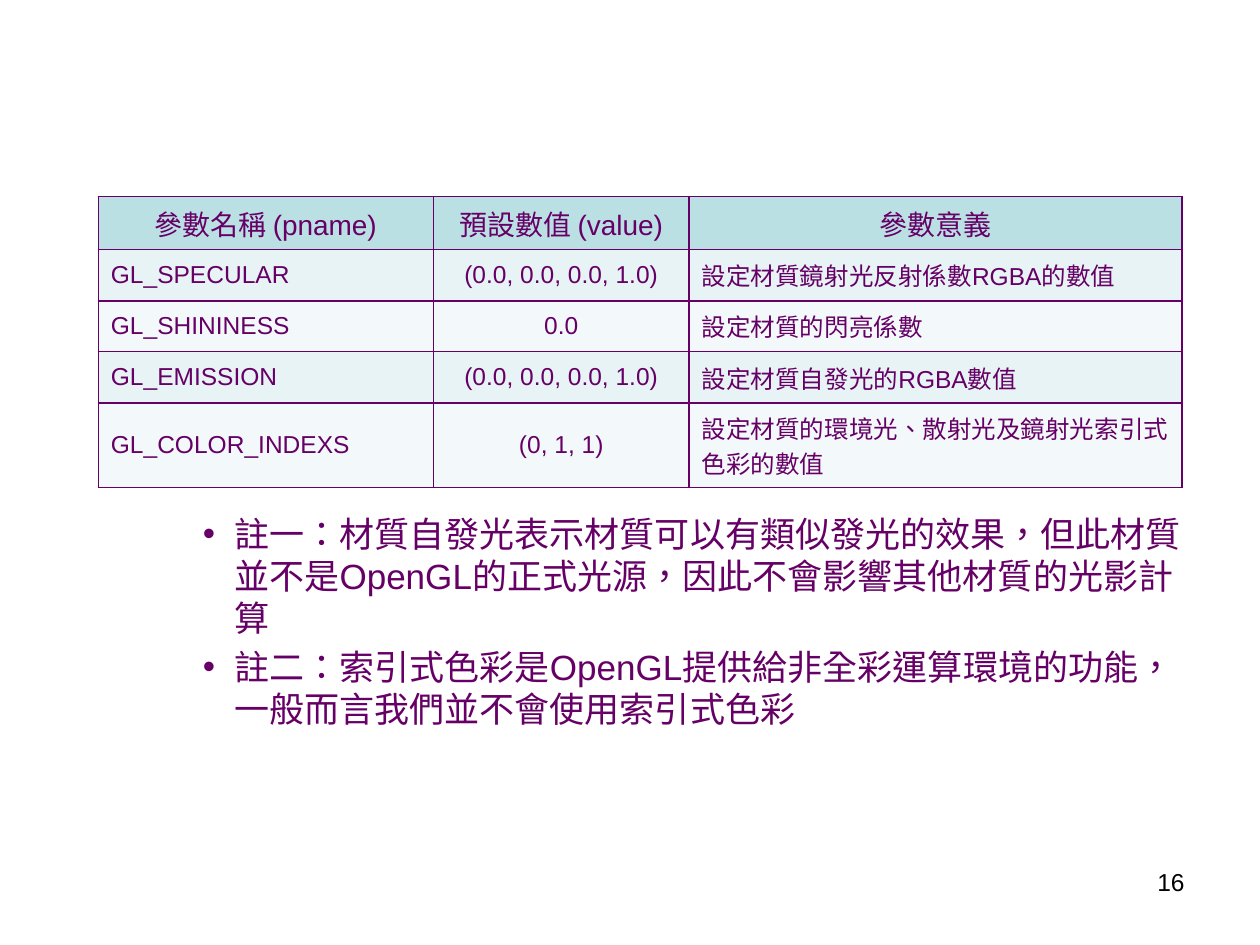
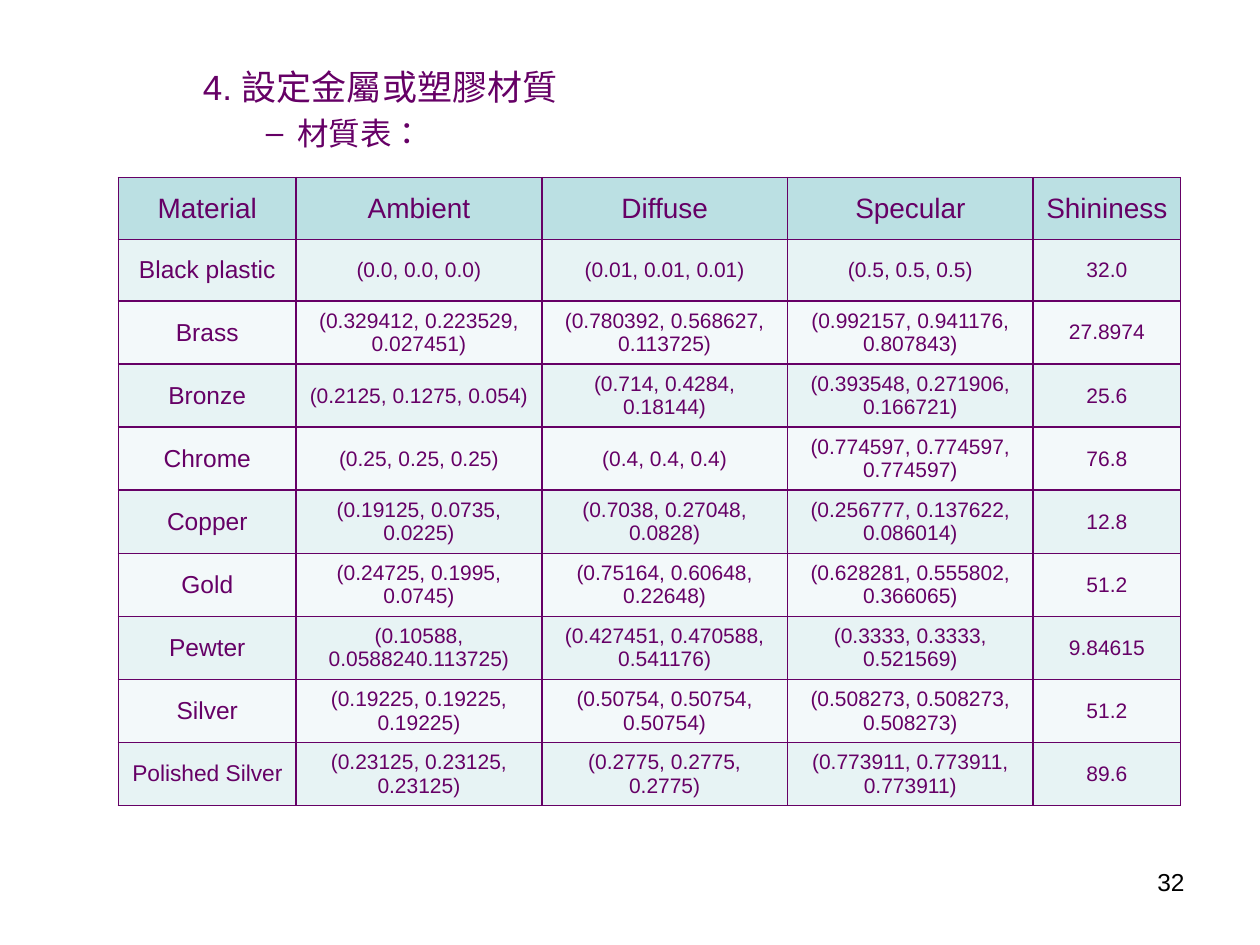
"""Builds two slides on material parameters and material values."""
from lxml import etree
from pptx import Presentation
from pptx.dml.color import RGBColor
from pptx.enum.lang import MSO_LANGUAGE_ID
from pptx.enum.text import MSO_ANCHOR, MSO_AUTO_SIZE, PP_ALIGN
from pptx.oxml.ns import qn
from pptx.util import Inches, Pt

LEFT, CENTER, RIGHT = PP_ALIGN.LEFT, PP_ALIGN.CENTER, PP_ALIGN.RIGHT
MIDDLE, TOP = MSO_ANCHOR.MIDDLE, MSO_ANCHOR.TOP
NO_AUTOFIT = MSO_AUTO_SIZE.NONE
CHINESE = MSO_LANGUAGE_ID.TRADITIONAL_CHINESE
TITLE_AND_CONTENT = 1

FONT = "Arial"
COLORS = {
    "text": "660066",
    "number": "000000",
    "header": "BBE0E3",
    "odd_row": "E7F3F4",
    "even_row": "F3F9FA",
}
HEADER_SIZE = 16
BODY_STYLES = {2: (20, 1.25), 3: (18, 1.75)}
HANGING = 0.25

SLIDES = [
    {
        "number": "16",
        "body_box": (0.51, 4.02, 9, 2.71),
        "body": [
            (2, "•", "註一：材質自發光表示材質可以有類似發光的效果，但此材質並不是OpenGL的正式光源，因此不會影響其他材質的光影計算"),
            (2, "•", "註二：索引式色彩是OpenGL提供給非全彩運算環境的功能，一般而言我們並不會使用索引式色彩"),
        ],
        "table_place": (0.78, 1.56),
        "row_heights": (0.42, 0.41, 0.4, 0.41, 0.67),
        "column_widths": (2.66, 2.03, 3.91),
        "alignments": (LEFT, CENTER, LEFT),
        "sizes": (14, 14, 14),
        "rows": [
            ("參數名稱 (pname)", "預設數值 (value)", "參數意義"),
            ("GL_SPECULAR", "(0.0, 0.0, 0.0, 1.0)", "設定材質鏡射光反射係數RGBA的數值"),
            ("GL_SHININESS", "0.0", "設定材質的閃亮係數"),
            ("GL_EMISSION", "(0.0, 0.0, 0.0, 1.0)", "設定材質自發光的RGBA數值"),
            ("GL_COLOR_INDEXS", "(0, 1, 1)", "設定材質的環境光、散射光及鏡射光索引式色彩的數值"),
        ],
    },
    {
        "number": "32",
        "body_box": (0.51, 0.47, 9, 6.26),
        "body": [(2, None, "4. 設定金屬或塑膠材質"), (3, "–", "材質表：")],
        "table_place": (0.94, 1.41),
        "row_heights": (0.49,) * 10,
        "column_widths": (1.41, 1.95, 1.95, 1.95, 1.17),
        "alignments": (CENTER,) * 5,
        "sizes": (14, 12, 12, 12, 12),
        "special_sizes": {"Polished Silver": 13},
        "rows": [
            ("Material", "Ambient", "Diffuse", "Specular", "Shininess"),
            ("Black plastic", "(0.0, 0.0, 0.0)", "(0.01, 0.01, 0.01)", "(0.5, 0.5, 0.5)", "32.0"),
            ("Brass", "(0.329412, 0.223529, 0.027451)", "(0.780392, 0.568627, 0.113725)",
             "(0.992157, 0.941176, 0.807843)", "27.8974"),
            ("Bronze", "(0.2125, 0.1275, 0.054)", "(0.714, 0.4284, 0.18144)",
             "(0.393548, 0.271906, 0.166721)", "25.6"),
            ("Chrome", "(0.25, 0.25, 0.25)", "(0.4, 0.4, 0.4)",
             "(0.774597, 0.774597, 0.774597)", "76.8"),
            ("Copper", "(0.19125, 0.0735, 0.0225)", "(0.7038, 0.27048, 0.0828)",
             "(0.256777, 0.137622, 0.086014)", "12.8"),
            ("Gold", "(0.24725, 0.1995, 0.0745)", "(0.75164, 0.60648, 0.22648)",
             "(0.628281, 0.555802, 0.366065)", "51.2"),
            ("Pewter", "(0.10588, 0.0588240.113725)", "(0.427451, 0.470588, 0.541176)",
             "(0.3333, 0.3333, 0.521569)", "9.84615"),
            ("Silver", "(0.19225, 0.19225, 0.19225)", "(0.50754, 0.50754, 0.50754)",
             "(0.508273, 0.508273, 0.508273)", "51.2"),
            ("Polished Silver", "(0.23125, 0.23125, 0.23125)", "(0.2775, 0.2775, 0.2775)",
             "(0.773911, 0.773911, 0.773911)", "89.6"),
        ],
    },
]


def write(paragraph, text, size, alignment=LEFT, color="text"):
    paragraph.text = text
    paragraph.alignment = alignment
    font = paragraph.runs[0].font
    font.name, font.size, font.bold = FONT, Pt(size), False
    font.language_id = CHINESE
    font.color.rgb = RGBColor.from_string(COLORS[color])


def set_bullet(paragraph, bullet, margin):
    properties = paragraph._p.get_or_add_pPr()
    properties.set("marL", str(Inches(margin)))
    properties.set("indent", str(-Inches(HANGING)))
    properties.set("hangingPunct", "0")
    if bullet:
        etree.SubElement(properties, qn("a:buChar")).set("char", bullet)
    else:
        etree.SubElement(properties, qn("a:buNone"))


def fill_body(slide, box, items):
    title, body = slide.placeholders
    title.element.getparent().remove(title.element)
    body.left, body.top, body.width, body.height = map(Inches, box)
    frame = body.text_frame
    frame.auto_size, frame.vertical_anchor = NO_AUTOFIT, TOP
    for index, (level, bullet, text) in enumerate(items):
        paragraph = frame.add_paragraph() if index else frame.paragraphs[0]
        size, margin = BODY_STYLES[level]
        write(paragraph, text, size)
        paragraph.level = level
        paragraph.line_spacing = Pt(size * 1.2)
        paragraph.space_before = Pt(size * 0.2)
        set_bullet(paragraph, bullet, margin)


def set_borders(cell):
    properties = cell._tc.get_or_add_tcPr()
    for position, side in enumerate(("lnL", "lnR", "lnT", "lnB")):
        line = etree.Element(qn(f"a:{side}"), w=str(Pt(1)))
        fill = etree.SubElement(line, qn("a:solidFill"))
        etree.SubElement(fill, qn("a:srgbClr")).set("val", COLORS["text"])
        properties.insert(position, line)


def add_material_table(slide, content):
    rows, widths, heights = content["rows"], content["column_widths"], content["row_heights"]
    left, top = content["table_place"]
    table = slide.shapes.add_table(
        len(rows), len(widths), Inches(left), Inches(top), Inches(sum(widths)), Inches(sum(heights))
    ).table
    table.horz_banding = False
    for column, width in zip(table.columns, widths):
        column.width = Inches(width)
    for table_row, height in zip(table.rows, heights):
        table_row.height = Inches(height)
    special_sizes = content.get("special_sizes", {})
    for row_index, row in enumerate(rows):
        band = "odd_row" if row_index % 2 else "even_row"
        for column_index, text in enumerate(row):
            cell = table.cell(row_index, column_index)
            size = special_sizes.get(text, content["sizes"][column_index])
            alignment = content["alignments"][column_index]
            if row_index == 0:
                band, size, alignment = "header", HEADER_SIZE, CENTER
            write(cell.text_frame.paragraphs[0], text, size, alignment)
            cell.vertical_anchor = MIDDLE
            cell.fill.solid()
            cell.fill.fore_color.rgb = RGBColor.from_string(COLORS[band])
            set_borders(cell)


def add_slide_number(slide, number):
    box = slide.shapes.add_textbox(Inches(7.17), Inches(6.83), Inches(2.33), Inches(0.52))
    box.text_frame.word_wrap = True
    write(box.text_frame.paragraphs[0], number, 14, RIGHT, "number")


def main():
    presentation = Presentation()
    presentation.slide_width, presentation.slide_height = Inches(10), Inches(7.5)
    for content in SLIDES:
        slide = presentation.slides.add_slide(presentation.slide_layouts[TITLE_AND_CONTENT])
        fill_body(slide, content["body_box"], content["body"])
        add_slide_number(slide, content["number"])
        add_material_table(slide, content)
    presentation.save("out.pptx")


if __name__ == "__main__":
    main()
